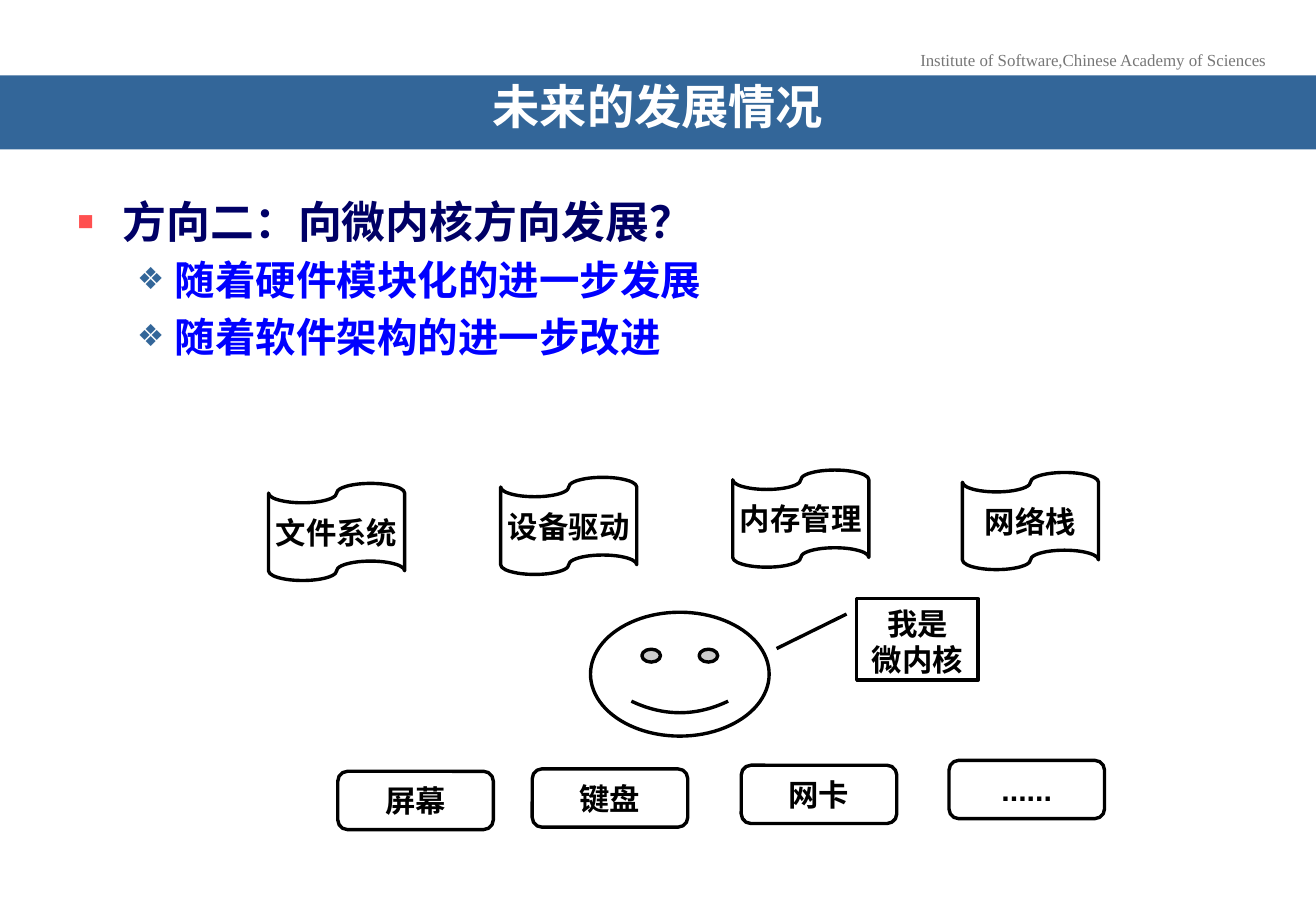
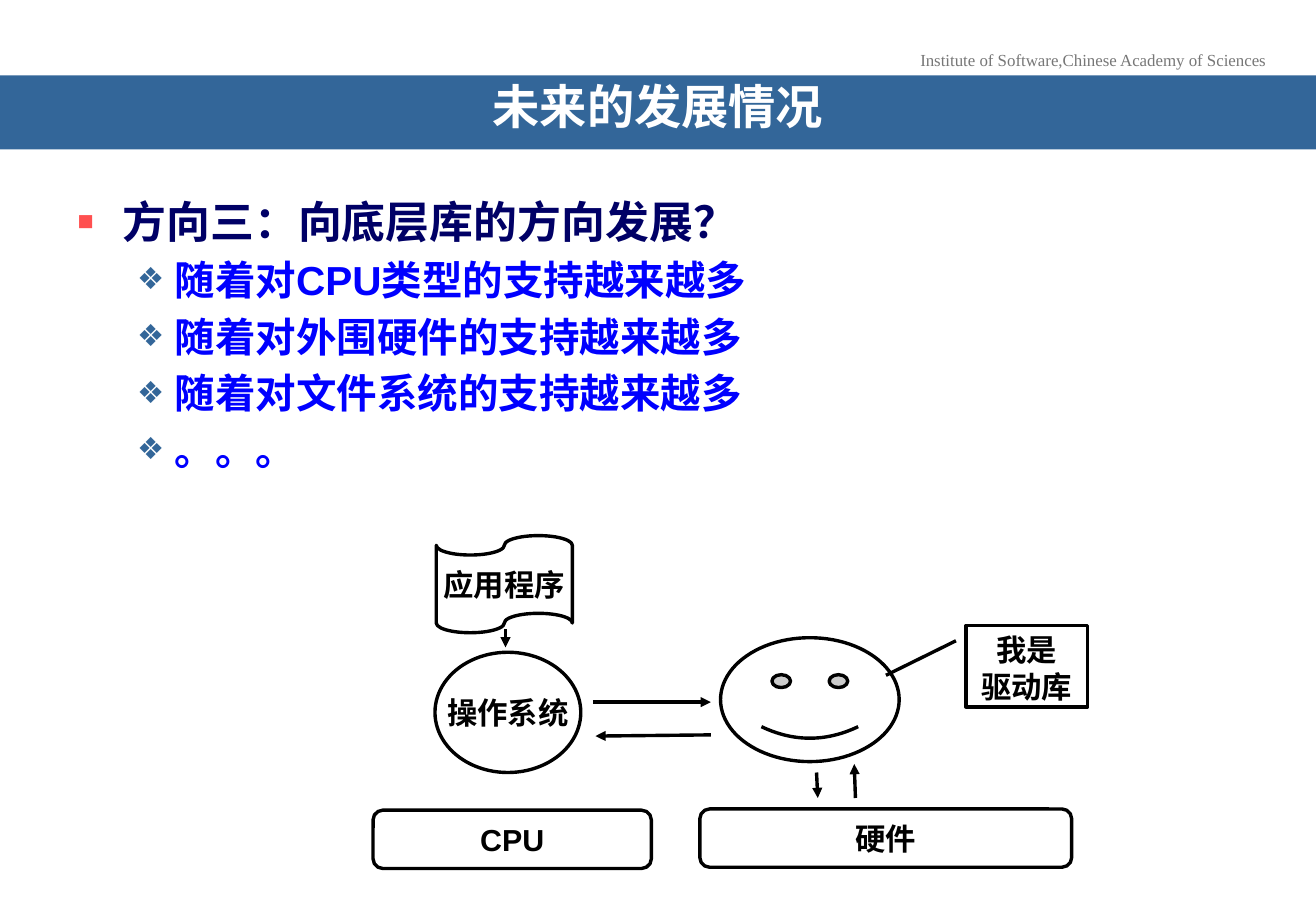
from dataclasses import dataclass
from typing import NamedTuple

from lxml.etree import SubElement as Sub
from pptx import Presentation
from pptx.dml.color import RGBColor as Rgb
from pptx.enum.shapes import MSO_CONNECTOR as Link, MSO_SHAPE as Kind
from pptx.enum.text import MSO_ANCHOR as Anchor, PP_ALIGN as Align
from pptx.oxml.ns import qn
from pptx.slide import Slide
from pptx.text.text import _Paragraph as Para
from pptx.util import Inches, Pt


@dataclass(frozen=True)
class Theme:
    white: str = "FFFFFF"
    black: str = "000000"
    band: str = "336699"
    gray: str = "777777"
    navy: str = "000066"
    blue: str = "0000FF"
    red: str = "FF5050"
    sans: str = "Arial"
    slim: str = "Arial Narrow"
    serif: str = "Times New Roman"
    note: int = 10
    label: int = 18
    sub: int = 24
    head: int = 26
    title: int = 28
    line: int = 2


class Level(NamedTuple):
    size: int
    color: str
    mark: str
    tint: str
    scale: int
    left: float
    hang: float


class Node(NamedTuple):
    kind: Kind
    x: float
    y: float
    w: float
    h: float
    text: str = ""


class Arrow(NamedTuple):
    x1: float
    y1: float
    x2: float
    y2: float


class Page(NamedTuple):
    head: str
    subs: list[str]
    nodes: list[Node]
    arrows: list[Arrow]


T = Theme()
HEAD = Level(T.head, T.navy, "▪", T.red, 120, 0.38, 0.38)
SUB = Level(T.sub, T.blue, "❖", T.band, 75, 0.81, 0.31)
ADJ = {
    Kind.SMILEY_FACE: [0.047],
    Kind.ROUNDED_RECTANGLE: [0.167],
    Kind.LINE_CALLOUT_1: [0.188, -0.083, 0.612, -0.659],
}


def tape(x: float, y: float, text: str) -> Node:
    return Node(Kind.FLOWCHART_PUNCHED_TAPE, x, y, 1.12, 0.8, text)


def box(x: float, y: float, text: str, w: float = 1.28) -> Node:
    return Node(Kind.ROUNDED_RECTANGLE, x, y, w, 0.48, text)


def face(x: float, y: float) -> Node:
    return Node(Kind.SMILEY_FACE, x, y, 1.47, 1.02)


def call(x: float, y: float, text: str) -> Node:
    return Node(Kind.LINE_CALLOUT_1, x, y, 1, 0.67, text)


PAGES = [
    Page(
        "方向二：向微内核方向发展？",
        ["随着硬件模块化的进一步发展", "随着软件架构的进一步改进"],
        [
            face(4.86, 5.04),
            box(2.78, 6.35, "屏幕"),
            box(4.38, 6.33, "键盘"),
            box(6.1, 6.3, "网卡"),
            box(7.81, 6.26, "......"),
            tape(2.21, 3.98, "文件系统"),
            tape(4.12, 3.93, "设备驱动"),
            tape(6.03, 3.87, "内存管理"),
            tape(7.92, 3.89, "网络栈"),
            call(7.05, 4.93, "我是\n微内核"),
        ],
        [],
    ),
    Page(
        "方向三：向底层库的方向发展？",
        [
            "随着对CPU类型的支持越来越多",
            "随着对外围硬件的支持越来越多",
            "随着对文件系统的支持越来越多",
            "。。。",
        ],
        [
            face(5.93, 5.25),
            call(7.95, 5.15, "我是\n驱动库"),
            box(3.07, 6.67, "CPU", 2.29),
            Node(Kind.OVAL, 3.58, 5.37, 1.2, 0.99, "操作系统"),
            box(5.76, 6.66, "硬件", 3.06),
            tape(3.59, 4.41, "应用程序"),
        ],
        [
            Arrow(4.16, 5.18, 4.16, 5.33),
            Arrow(4.88, 5.78, 5.85, 5.78),
            Arrow(6.72, 6.36, 6.73, 6.57),
            Arrow(7.04, 6.57, 7.03, 6.29),
            Arrow(5.85, 6.05, 4.9, 6.06),
        ],
    ),
]


def style(para: Para, size: int, color: str, face: str = T.sans, bold: bool = True) -> None:
    font = para.font
    font.size, font.name, font.bold = Pt(size), face, bold
    font.color.rgb = Rgb.from_string(color)


def frame(slide: Slide) -> None:
    note = slide.shapes.add_textbox(Inches(7.46), Inches(0.36), Inches(3.07), Inches(0.27))
    note.text_frame.word_wrap = False
    para = note.text_frame.paragraphs[0]
    para.text = "Institute of Software,Chinese Academy of Sciences"
    para.alignment = Align.CENTER
    style(para, T.note, T.gray, T.serif, False)

    band = slide.shapes.add_shape(Kind.RECTANGLE, 0, Inches(0.62), Inches(10.83), Inches(0.61))
    band.shadow.inherit = False
    band.fill.solid()
    band.fill.fore_color.rgb = Rgb.from_string(T.band)
    band.line.fill.background()
    text = band.text_frame
    text.margin_left = text.margin_right = Inches(0.31)
    para = text.paragraphs[0]
    para.text = "未来的发展情况"
    para.alignment = Align.CENTER
    para.line_spacing = 0.7
    style(para, T.title, T.white, T.slim)


def bullet(para: Para, text: str, level: Level) -> None:
    para.text = text
    para.space_before = Pt(round(level.size * 0.2, 1))
    style(para, level.size, level.color)
    props = para._p.get_or_add_pPr()
    props.set("marL", str(Inches(level.left)))
    props.set("indent", str(-Inches(level.hang)))
    rest = props.find(qn("a:defRPr"))
    tint = Sub(props, qn("a:buClr"))
    Sub(tint, qn("a:srgbClr"), val=level.tint)
    Sub(props, qn("a:buSzPct"), val=str(level.scale * 1000))
    Sub(props, qn("a:buFont"), typeface=T.sans)
    Sub(props, qn("a:buChar"), char=level.mark)
    if rest is not None:
        props.append(rest)


def body(slide: Slide, page: Page) -> None:
    area = slide.shapes.add_textbox(Inches(0.53), Inches(1.55), Inches(9.76), Inches(5.04))
    text = area.text_frame
    text.word_wrap = True
    bullet(text.paragraphs[0], page.head, HEAD)
    for sub in page.subs:
        bullet(text.add_paragraph(), sub, SUB)


def draw(slide: Slide, node: Node) -> None:
    shape = slide.shapes.add_shape(
        node.kind, Inches(node.x), Inches(node.y), Inches(node.w), Inches(node.h)
    )
    for i, value in enumerate(ADJ.get(node.kind, [])):
        shape.adjustments[i] = value
    shape.shadow.inherit = False
    shape.fill.solid()
    shape.fill.fore_color.rgb = Rgb.from_string(T.white)
    shape.line.color.rgb = Rgb.from_string(T.black)
    shape.line.width = Pt(T.line)
    if not node.text:
        return
    text = shape.text_frame
    note = node.kind == Kind.LINE_CALLOUT_1
    text.word_wrap = note
    text.vertical_anchor = Anchor.TOP if note else Anchor.MIDDLE
    text.text = node.text
    for para in text.paragraphs:
        para.alignment = Align.CENTER
        style(para, T.label, T.black)


def link(slide: Slide, arrow: Arrow) -> None:
    line = slide.shapes.add_connector(Link.STRAIGHT, *map(Inches, arrow))
    line.line.color.rgb = Rgb.from_string(T.black)
    line.line.width = Pt(T.line)
    Sub(line.line._get_or_add_ln(), qn("a:tailEnd"), type="triangle")
    Sub(line._element.spPr, qn("a:effectLst"))


def main() -> None:
    deck = Presentation()
    deck.slide_width, deck.slide_height = Inches(10.83), Inches(7.5)
    for page in PAGES:
        slide = deck.slides.add_slide(deck.slide_layouts[6])
        frame(slide)
        body(slide, page)
        for node in page.nodes:
            draw(slide, node)
        for arrow in page.arrows:
            link(slide, arrow)
    deck.save("out.pptx")


if __name__ == "__main__":
    main()
